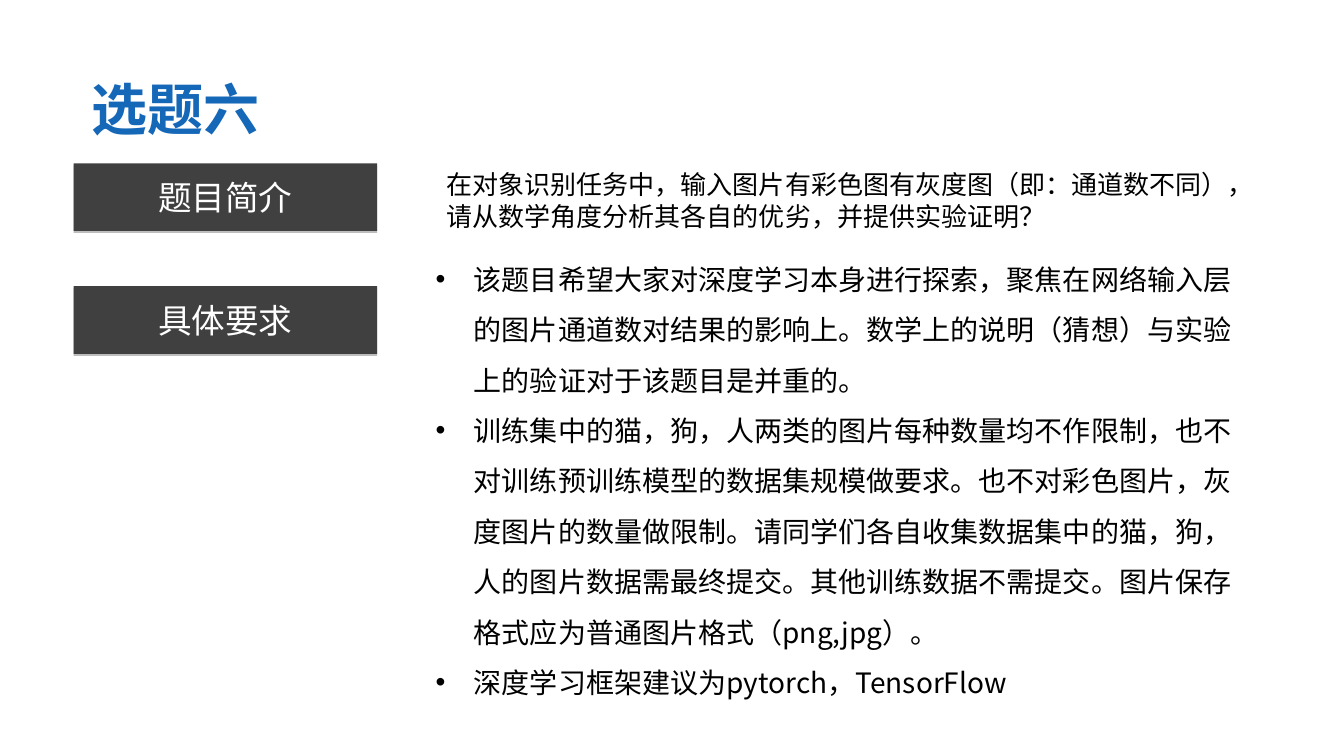
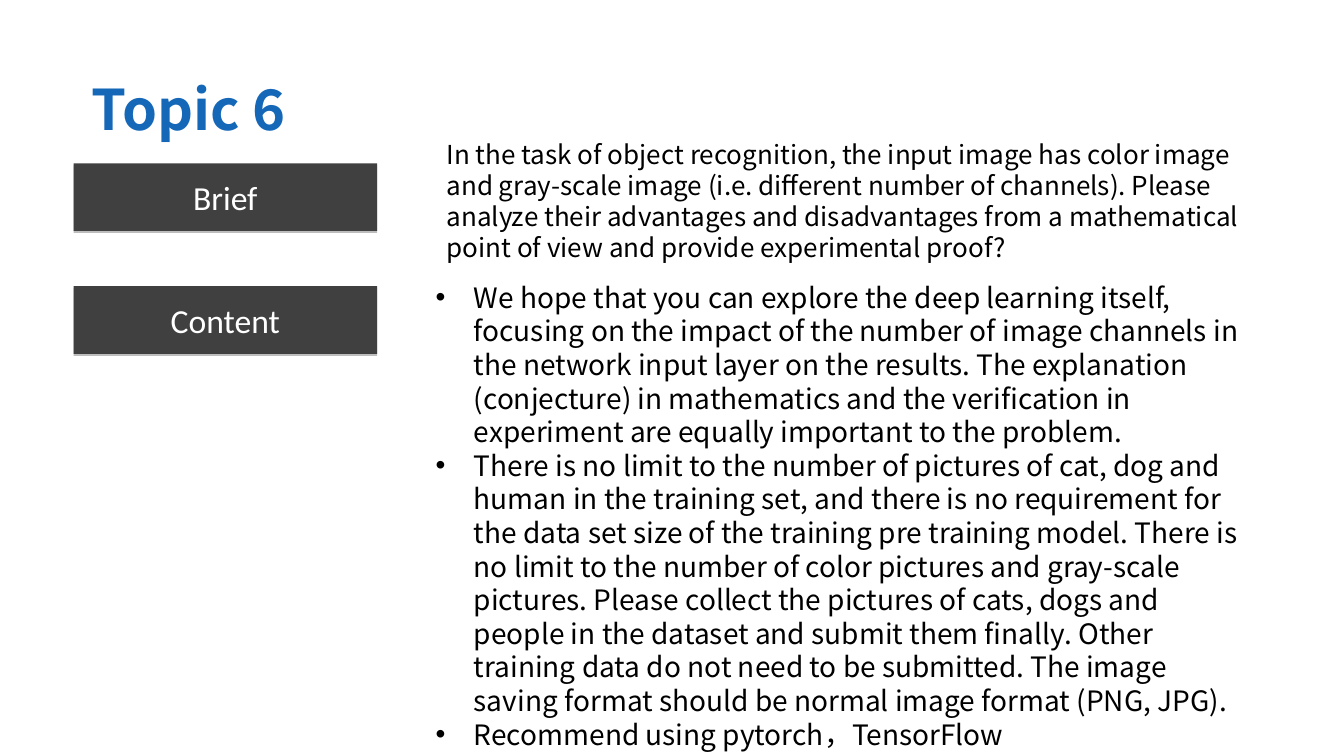
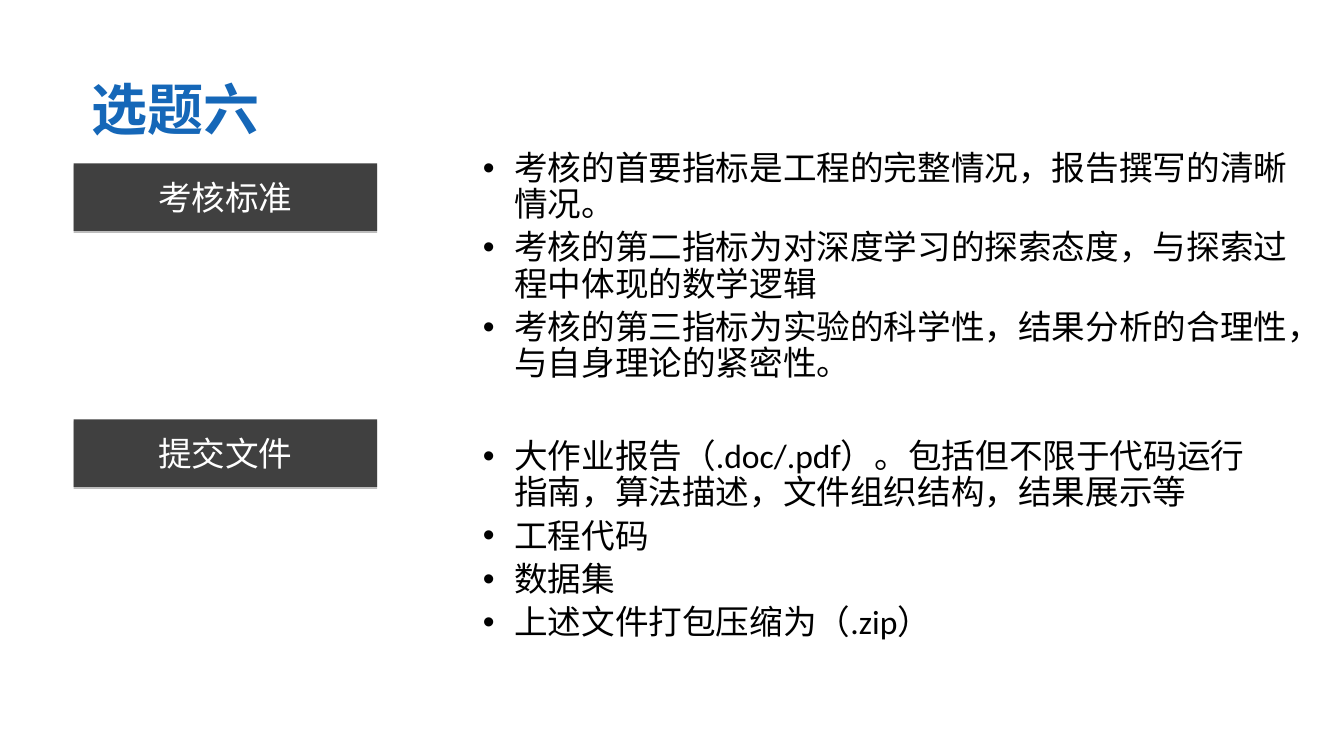
from collections import namedtuple
from dataclasses import dataclass

from lxml import etree
from pptx import Presentation
from pptx.dml.color import RGBColor
from pptx.enum.shapes import MSO_SHAPE
from pptx.enum.text import MSO_ANCHOR, MSO_AUTO_SIZE, PP_ALIGN
from pptx.oxml.ns import qn
from pptx.util import Inches, Pt

RECTANGLE = MSO_SHAPE.RECTANGLE
TOP, MIDDLE = MSO_ANCHOR.TOP, MSO_ANCHOR.MIDDLE
NO_AUTOFIT = MSO_AUTO_SIZE.NONE
LEFT, CENTER, JUSTIFY = PP_ALIGN.LEFT, PP_ALIGN.CENTER, PP_ALIGN.JUSTIFY
ONE_LIST_LAYOUT, TWO_LISTS_LAYOUT = 1, 3

Box = namedtuple("Box", "left top width height")


@dataclass(frozen=True)
class Theme:
    """Colours, fonts and type sizes shared by the slides."""
    title_blue: RGBColor = RGBColor.from_string("1567B8")
    label_gray: RGBColor = RGBColor.from_string("404040")
    label_text: RGBColor = RGBColor.from_string("FFFFFF")
    body_text: RGBColor = RGBColor.from_string("000000")
    shadow: str = "000000"
    latin: str = "Calibri"
    chinese: str = "Noto Sans CJK SC"
    title_size: float = 40
    label_size: float = 24
    brief_size: float = 18.6
    requirement_size: float = 20
    criterion_size: float = 24


THEME = Theme()
TITLE_BOX = Box(0.78, 0.73, 10.6, 0.69)
LABEL_LEFT, LABEL_WIDTH, LABEL_HEIGHT = 0.73, 3.01, 0.67
FIRST_LABEL_TOP = 1.62


def inches(box):
    """Return the four lengths of a box."""
    return [Inches(length) for length in box]


def place(placeholder, box):
    """Move a placeholder to a box."""
    (placeholder.left, placeholder.top,
     placeholder.width, placeholder.height) = inches(box)
    return placeholder.text_frame


def add_bullet(paragraph, indent, hang):
    """Give a paragraph a hanging round bullet."""
    properties = paragraph._p.get_or_add_pPr()
    properties.set("marL", str(Inches(indent)))
    properties.set("indent", str(-Inches(hang)))
    etree.SubElement(properties, qn("a:buFont"), typeface="Arial")
    etree.SubElement(properties, qn("a:buChar"), char="•")


def write_text(frame, *texts, size, font=THEME.chinese, color=THEME.body_text,
               bold=False, align=LEFT, anchor=MIDDLE, inset=(0.1, 0.05),
               spacing=1.0, gap=0, level=0, bullet=None):
    """Fill a text frame with one formatted paragraph per text."""
    frame.word_wrap = True
    frame.auto_size = NO_AUTOFIT
    frame.vertical_anchor = anchor
    frame.margin_left = frame.margin_right = Inches(inset[0])
    frame.margin_top = frame.margin_bottom = Inches(inset[1])
    for index, text in enumerate(texts):
        paragraph = frame.add_paragraph() if index else frame.paragraphs[0]
        paragraph.level = level
        paragraph.alignment = align
        paragraph.line_spacing = spacing
        paragraph.space_before = Pt(gap if index else 0)
        if bullet:
            add_bullet(paragraph, *bullet)
        run = paragraph.add_run()
        run.text = text
        run.font.size = Pt(size)
        run.font.bold = bold
        run.font.name = font
        run.font.color.rgb = color
        etree.SubElement(run._r.get_or_add_rPr(), qn("a:ea"),
                         typeface=THEME.chinese)


def cast_shadow(shape):
    """Put a thin hard shadow below a shape."""
    shape.shadow.inherit = False
    effects = shape._element.spPr.find(qn("a:effectLst"))
    shadow = etree.SubElement(effects, qn("a:outerShdw"), blurRad="0",
                              dist=str(Pt(1.6)), dir="5400000",
                              algn="t", rotWithShape="0")
    tint = etree.SubElement(shadow, qn("a:srgbClr"), val=THEME.shadow)
    etree.SubElement(tint, qn("a:alpha"), val="25000")


def start_slide(deck, layout, title):
    """Add a slide with the shared title."""
    slide = deck.slides.add_slide(deck.slide_layouts[layout])
    write_text(place(slide.shapes.title, TITLE_BOX), title,
               size=THEME.title_size, color=THEME.title_blue, bold=True,
               align=JUSTIFY, inset=(0.13, 0.07))
    return slide


def section_label(slide, text, top):
    """Draw a gray section label in the left column."""
    box = Box(LABEL_LEFT, top, LABEL_WIDTH, LABEL_HEIGHT)
    label = slide.shapes.add_shape(RECTANGLE, *inches(box))
    label.fill.solid()
    label.fill.fore_color.rgb = THEME.label_gray
    label.line.fill.background()
    cast_shadow(label)
    write_text(label.text_frame, text, size=THEME.label_size,
               font=THEME.latin, color=THEME.label_text, align=CENTER)


def topic_slide(deck, title, labels, brief, brief_box, requirements,
                requirements_box, spacing, anchor):
    """Build a slide with a brief and its list of requirements."""
    slide = start_slide(deck, ONE_LIST_LAYOUT, title)
    for text, top in zip(labels, (FIRST_LABEL_TOP, 2.84)):
        section_label(slide, text, top)
    summary = slide.shapes.add_textbox(*inches(brief_box))
    write_text(summary.text_frame, brief, size=THEME.brief_size)
    write_text(place(slide.placeholders[1], requirements_box), *requirements,
               size=THEME.requirement_size, spacing=spacing, anchor=anchor,
               bullet=(0.38, 0.38))


def assessment_slide(deck, title, sections):
    """Build a slide with two labelled lists."""
    slide = start_slide(deck, TWO_LISTS_LAYOUT, title)
    for index, (label, top, box, items) in enumerate(sections, 1):
        section_label(slide, label, top)
        write_text(place(slide.placeholders[index], box), *items,
                   size=THEME.criterion_size, font=THEME.latin, spacing=0.9,
                   gap=5, level=1, bullet=(0.81, 0.31))


def main():
    """Build and save the three slides."""
    deck = Presentation()
    deck.slide_width, deck.slide_height = Inches(13.33), Inches(7.5)
    topic_slide(
        deck, "选题六", ("题目简介", "具体要求"),
        "在对象识别任务中，输入图片有彩色图有灰度图（即：通道数不同），"
        "请从数学角度分析其各自的优劣，并提供实验证明？",
        Box(4.33, 1.62, 8.08, 0.73),
        ("该题目希望大家对深度学习本身进行探索，聚焦在网络输入层的图片通道数"
         "对结果的影响上。数学上的说明（猜想）与实验上的验证对于该题目是并重的。",
         "训练集中的猫，狗，人两类的图片每种数量均不作限制，也不对训练预训练模型"
         "的数据集规模做要求。也不对彩色图片，灰度图片的数量做限制。请同学们各自"
         "收集数据集中的猫，狗，人的图片数据需最终提交。其他训练数据不需提交。"
         "图片保存格式应为普通图片格式（png,jpg）。",
         "深度学习框架建议为pytorch，TensorFlow"),
        Box(4.22, 2.39, 8.3, 4.59), spacing=1.5, anchor=MIDDLE)
    topic_slide(
        deck, "Topic 6", ("Brief", "Content"),
        "In the task of object recognition, the input image has color image "
        "and gray-scale image (i.e. different number of channels). Please "
        "analyze their advantages and disadvantages from a mathematical point "
        "of view and provide experimental proof?",
        Box(4.33, 1.31, 8.08, 1.36),
        ("We hope that you can explore the deep learning itself, focusing on "
         "the impact of the number of image channels in the network input "
         "layer on the results. The explanation (conjecture) in mathematics "
         "and the verification in experiment are equally important to the "
         "problem.",
         "There is no limit to the number of pictures of cat, dog and human "
         "in the training set, and there is no requirement for the data set "
         "size of the training pre training model. There is no limit to the "
         "number of color pictures and gray-scale pictures. Please collect "
         "the pictures of cats, dogs and people in the dataset and submit "
         "them finally. Other training data do not need to be submitted. The "
         "image saving format should be normal image format (PNG, JPG).",
         "Recommend using pytorch，TensorFlow"),
        Box(4.22, 2.73, 8.3, 4.77), spacing=1.0, anchor=TOP)
    assessment_slide(deck, "选题六", (
        ("考核标准", FIRST_LABEL_TOP, Box(4.19, 1.44, 8.91, 2.42),
         ("考核的首要指标是工程的完整情况，报告撰写的清晰情况。",
          "考核的第二指标为对深度学习的探索态度，与探索过程中体现的数学逻辑",
          "考核的第三指标为实验的科学性，结果分析的合理性，与自身理论的紧密性。")),
        ("提交文件", 4.16, Box(4.19, 4.3, 8.3, 2.13),
         ("大作业报告（.doc/.pdf）。包括但不限于代码运行指南，算法描述，"
          "文件组织结构，结果展示等",
          "工程代码", "数据集", "上述文件打包压缩为（.zip）"))))
    deck.save("out.pptx")


if __name__ == "__main__":
    main()
